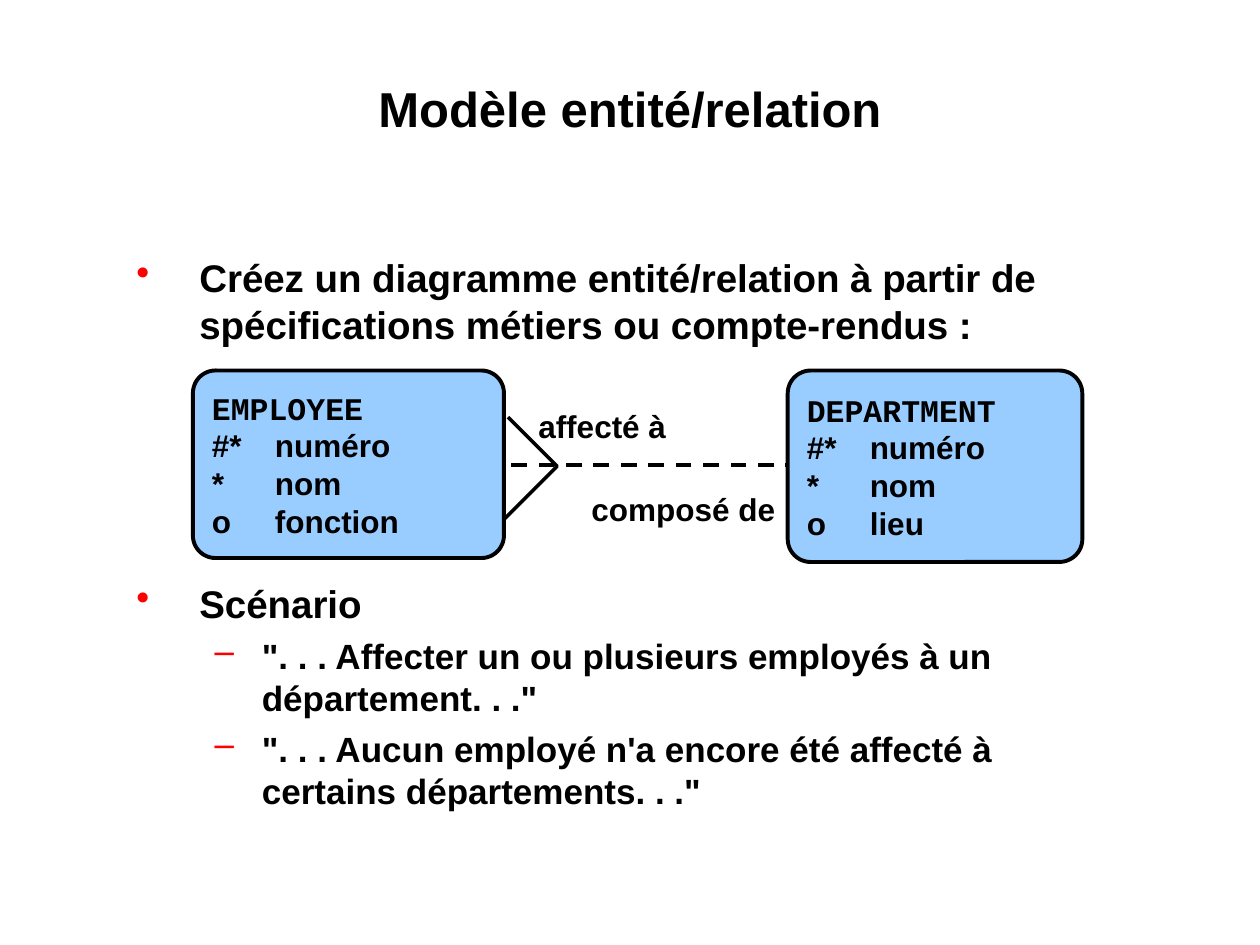
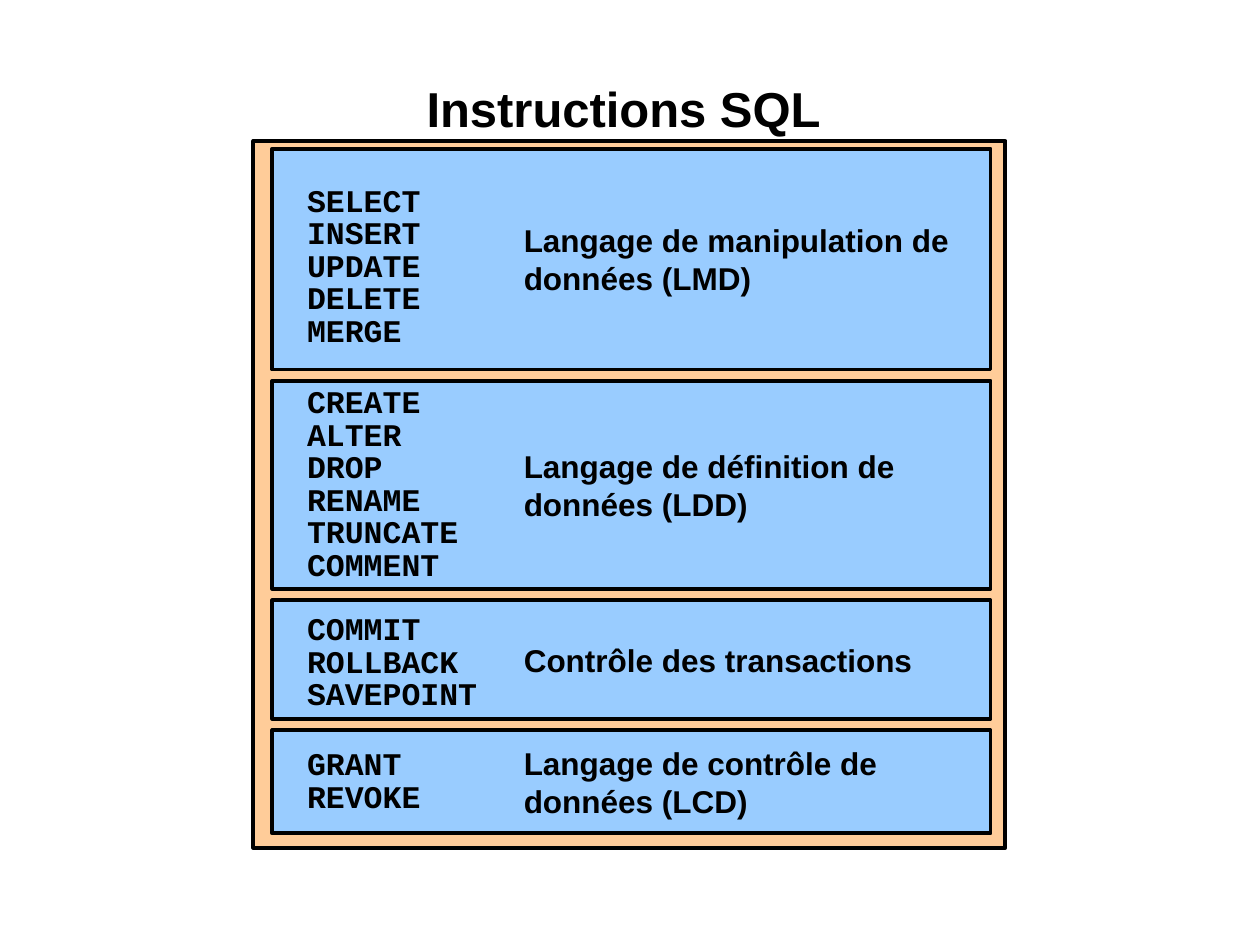
from lxml.etree import SubElement as Sub
from pptx import Presentation
from pptx.dml.color import RGBColor as RGB
from pptx.enum.dml import MSO_LINE as Dash
from pptx.enum.shapes import MSO_CONNECTOR as Link, MSO_SHAPE as Kind
from pptx.enum.text import MSO_ANCHOR as Anchor, PP_ALIGN as Align
from pptx.oxml.ns import qn
from pptx.util import Cm, Pt

HUES = {"ink": "000000", "box": "99CCFF", "frame": "FFCC99", "mark": "FF0000"}
SANS, MONO = "Arial", "Courier New"
LEFT, TOP, WIDTH, GAP = 5.49, 3, 14.48, 0.23
BANDS = [
    (4.45, 0, "Langage de manipulation de données (LMD)",
     ["SELECT", "INSERT", "UPDATE", "DELETE", "MERGE"]),
    (4.19, 27, "Langage de définition de données (LDD)",
     ["CREATE", "ALTER", "DROP", "RENAME", "TRUNCATE", "COMMENT"]),
    (2.39, 23, "Contrôle des transactions", ["COMMIT", "ROLLBACK", "SAVEPOINT"]),
    (2.08, 26, "Langage de contrôle de données (LCD)", ["GRANT", "REVOKE"]),
]


def hue(name):
    return RGB.from_string(HUES[name])


def write(frame, text, first=False, size=18, font=SANS, align=Align.LEFT,
          before=0, lines=None, mark=None, margin=0, hang=0):
    para = frame.paragraphs[0] if first else frame.add_paragraph()
    para.alignment = align
    para.space_before = Pt(before)
    if lines:
        para.line_spacing = lines
    if mark:
        props = para._p.get_or_add_pPr()
        props.set("marL", str(Cm(margin)))
        props.set("indent", str(Cm(-hang)))
        tint = Sub(props, qn("a:buClr"))
        Sub(tint, qn("a:srgbClr"), val=HUES["mark"])
        Sub(props, qn("a:buChar"), char=mark)
    run = para.add_run()
    run.text = text
    run.font.name = font
    run.font.size = Pt(size)
    run.font.bold = True
    run.font.color.rgb = hue("ink")


def area(slide, x, y, w, h, pad=None, anchor=Anchor.TOP):
    frame = slide.shapes.add_textbox(Cm(x), Cm(y), Cm(w), Cm(h)).text_frame
    frame.word_wrap = True
    frame.vertical_anchor = anchor
    if pad is not None:
        frame.margin_left = frame.margin_right = Cm(pad)
        frame.margin_top = frame.margin_bottom = Cm(pad)
    return frame


def title(slide, text):
    frame = area(slide, 2.54, 1.55, 20.32, 2.44, pad=0.03)
    write(frame, text, first=True, size=28, align=Align.CENTER)


def label(slide, text, x, y, w, h=1.02, align=Align.CENTER):
    frame = area(slide, x, y, w, h, anchor=Anchor.MIDDLE)
    write(frame, text, first=True, align=align)


def block(slide, x, y, w, h, fill="box", kind=Kind.RECTANGLE):
    shape = slide.shapes.add_shape(kind, Cm(x), Cm(y), Cm(w), Cm(h))
    shape.shadow.inherit = False
    shape.fill.solid()
    shape.fill.fore_color.rgb = hue(fill)
    shape.line.color.rgb = hue("ink")
    shape.line.width = Pt(2.25)
    return shape


def entity(slide, name, fields, x, y, w, h):
    shape = block(slide, x, y, w, h, kind=Kind.ROUNDED_RECTANGLE)
    shape.adjustments[0] = 0.12
    frame = shape.text_frame
    frame.word_wrap = True
    frame.vertical_anchor = Anchor.MIDDLE
    write(frame, name, first=True, font=MONO)
    for sign, field in zip(("#*", "*", "o"), fields):
        write(frame, f"{sign}\t{field}")


def dashes(slide, x, end, y):
    line = slide.shapes.add_connector(Link.STRAIGHT, Cm(x), Cm(y), Cm(end), Cm(y))
    line.line.color.rgb = hue("ink")
    line.line.width = Pt(2.25)
    line.line.dash_style = Dash.DASH
    Sub(line._element.spPr, qn("a:effectLst"))


def fork(slide, points):
    start, *rest = [(Cm(x), Cm(y)) for x, y in points]
    path = slide.shapes.build_freeform(*start)
    path.add_line_segments(rest, close=False)
    shape = path.convert_to_shape()
    shape.shadow.inherit = False
    shape.fill.background()
    shape.line.color.rgb = hue("ink")
    shape.line.width = Pt(2)


def model(slide):
    body = area(slide, 2.39, 5.1, 20.47, 11.3, pad=0.03)
    main_item = dict(size=22, mark="•", margin=1.6, hang=1.27)
    sub_item = dict(size=20, mark="–", margin=2.86, hang=0.95, before=5)
    write(body, "Créez un diagramme entité/relation à partir de "
          "spécifications métiers ou compte-rendus\u00a0:", first=True, **main_item)
    write(body, "Scénario", before=133, **main_item)
    write(body, '". . . Affecter un ou plusieurs employés à un département. . ."',
          **sub_item)
    write(body, '". . . Aucun employé n\'a encore été affecté à '
          'certains départements. . ."', **sub_item)
    dashes(slide, 16.15, 9.42, 9.37)
    fork(slide, [(10.24, 8.41), (11.23, 9.4), (9.96, 10.67)])
    title(slide, "Modèle entité/relation")
    entity(slide, "EMPLOYEE", ("numéro", "nom", "fonction"), 3.89, 7.47, 6.27, 3.78)
    entity(slide, "DEPARTMENT", ("numéro", "nom", "lieu"), 15.88, 7.47, 5.94, 3.86)
    label(slide, "affecté à", 10.59, 8.08, 3.1)
    label(slide, "composé de", 10.41, 9.75, 6.73)


def orders(slide):
    block(slide, 5.11, 2.84, 15.16, 14.25, fill="frame")
    title(slide, "Instructions SQL ")
    y = TOP
    for height, _, text, _ in BANDS:
        block(slide, LEFT, y, WIDTH, height)
        label(slide, text, 10.31, y, 9.4, height, align=Align.LEFT)
        y += height + GAP
    words = area(slide, 5.94, 3.76, 4.4, 12.7)
    for index, (_, space, _, names) in enumerate(BANDS):
        for row, name in enumerate(names):
            write(words, name, first=index == row == 0, font=MONO, lines=0.65,
                  before=4.5 if row else space)


def main():
    deck = Presentation()
    deck.slide_width, deck.slide_height = Cm(25.4), Cm(19.05)
    for draw in (model, orders):
        draw(deck.slides.add_slide(deck.slide_layouts[6]))
    deck.save("out.pptx")


if __name__ == "__main__":
    main()
